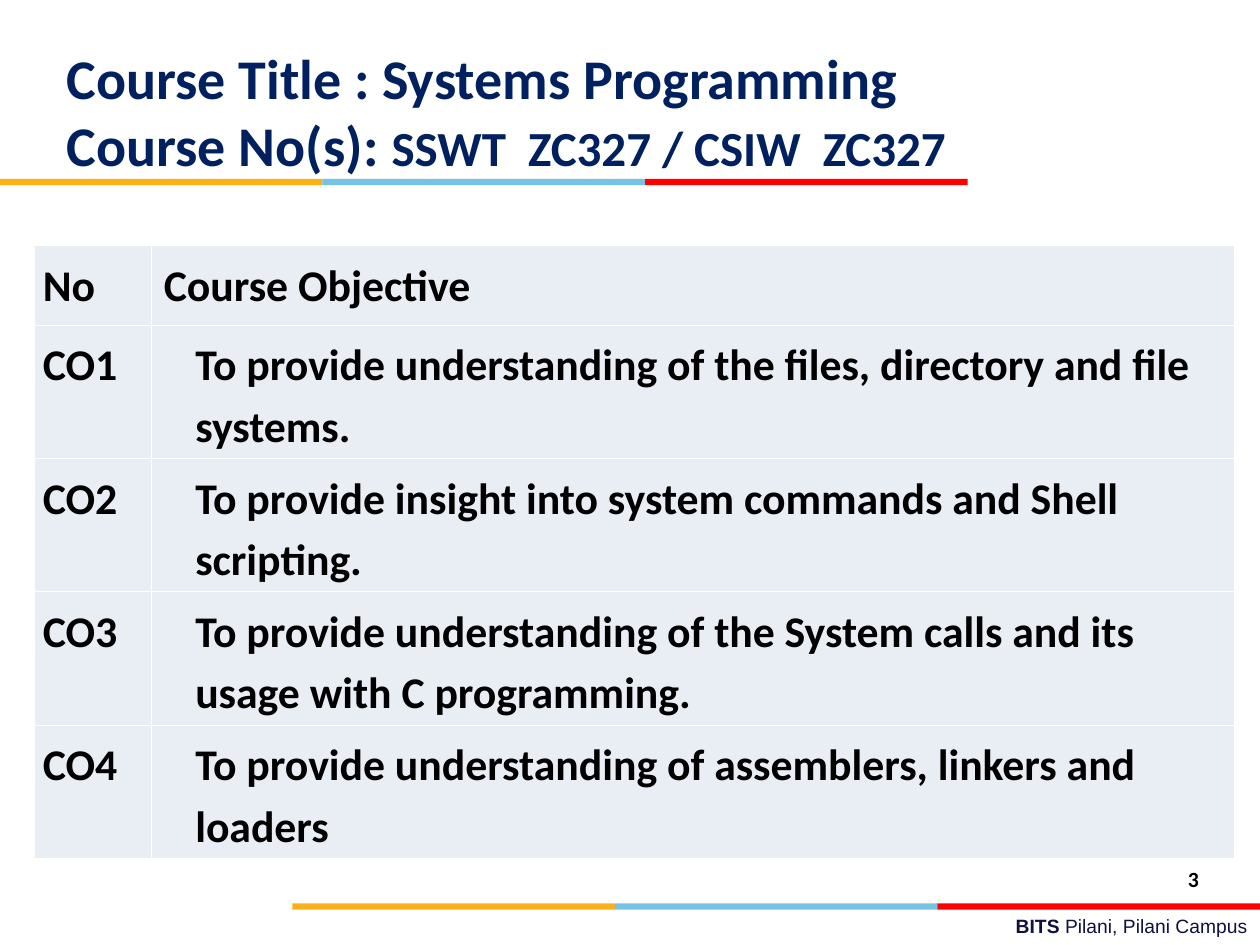
import pptx
import pptx.util
import pptx.dml.color
import pptx.enum.shapes
import pptx.enum.text
import pptx.oxml
import pptx.oxml.ns

Inches, Pt = pptx.util.Inches, pptx.util.Pt
RGBColor = pptx.dml.color.RGBColor
Align, Anchor = pptx.enum.text.PP_ALIGN, pptx.enum.text.MSO_ANCHOR

NAVY = RGBColor(0x00, 0x20, 0x60)
INK = RGBColor(0x10, 0x11, 0x41)
BLACK = RGBColor(0, 0, 0)
CELL_FILL = RGBColor(0xE9, 0xED, 0xF4)
STRIPE_COLORS = [RGBColor(0xFC, 0xB0, 0x17), RGBColor(0x76, 0xC2, 0xE5), RGBColor(0xFF, 0, 0)]

TITLE_FIRST = "Course Title : Systems Programming"
TITLE_SECOND = [("Course No(s): ", 32), ("SSWT  ZC327 / CSIW  ZC327", 28)]
HEADER = ("No", "Course Objective")
OBJECTIVES = [
    "To provide understanding of the files, directory and file systems.",
    "To provide insight into system commands and Shell scripting.",
    "To provide understanding of the System calls and its usage with C programming.",
    "To provide understanding of assemblers, linkers and loaders",
]
STRIPE_WIDTH, STRIPE_HEIGHT = 2.56, 0.05
COLUMN_WIDTHS = (0.93, 8.6)
HEADER_HEIGHT, ROW_HEIGHT = 0.63, 0.98


def add_stripes(slide, left, top):
    for index, color in enumerate(STRIPE_COLORS):
        stripe = slide.shapes.add_shape(
            pptx.enum.shapes.MSO_SHAPE.RECTANGLE, Inches(left + index * STRIPE_WIDTH),
            Inches(top), Inches(STRIPE_WIDTH), Inches(STRIPE_HEIGHT))
        stripe.shadow.inherit = False
        stripe.fill.solid()
        stripe.fill.fore_color.rgb = color
        stripe.line.fill.background()


def add_text_frame(slide, left, top, width, height):
    box = slide.shapes.add_textbox(Inches(left), Inches(top), Inches(width), Inches(height))
    box.text_frame.word_wrap = True
    return box.text_frame


def set_font(font, name, size, color, bold=None):
    font.name, font.size, font.bold = name, Pt(size), bold
    font.color.rgb = color


def add_borders(cell):
    """Put thin white lines ahead of the fill, as the schema orders them."""
    properties = cell._tc.get_or_add_tcPr()
    for position, side in enumerate(("lnL", "lnR", "lnT", "lnB")):
        properties.insert(position, pptx.oxml.parse_xml(
            f'<a:{side} {pptx.oxml.ns.nsdecls("a")} w="{Pt(0.45)}"><a:solidFill>'
            f'<a:srgbClr val="FFFFFF"/></a:solidFill></a:{side}>'))


def add_title(slide):
    frame = add_text_frame(slide, 0.43, 0.3, 8.35, 1.01)
    frame.vertical_anchor = Anchor.MIDDLE
    frame.margin_top, frame.margin_bottom = Inches(0.14), 0
    paragraph = frame.paragraphs[0]
    set_font(paragraph.font, "Calibri", 32, NAVY, True)
    paragraph.add_run().text = TITLE_FIRST
    paragraph.add_line_break()
    for text, size in TITLE_SECOND:
        run = paragraph.add_run()
        run.text = text
        run.font.size = Pt(size)


def add_objectives(slide):
    rows = [HEADER] + [(f"CO{number}", text) for number, text in enumerate(OBJECTIVES, 1)]
    height = HEADER_HEIGHT + ROW_HEIGHT * len(OBJECTIVES)
    table = slide.shapes.add_table(
        len(rows), len(HEADER), Inches(0.27), Inches(1.95),
        Inches(sum(COLUMN_WIDTHS)), Inches(height)).table
    table.first_row = table.horz_banding = False
    for column, width in zip(table.columns, COLUMN_WIDTHS):
        column.width = Inches(width)
    for row_index, row in enumerate(rows):
        table.rows[row_index].height = Inches(ROW_HEIGHT if row_index else HEADER_HEIGHT)
        for column_index, text in enumerate(row):
            cell = table.cell(row_index, column_index)
            cell.fill.solid()
            cell.fill.fore_color.rgb = CELL_FILL
            add_borders(cell)
            cell.text = text
            paragraph = cell.text_frame.paragraphs[0]
            paragraph.line_spacing = 1.15
            set_font(paragraph.font, "Calibri", 25, BLACK, True)
            if column_index == 0:
                cell.margin_left = cell.margin_right = Inches(0.07)
            elif row_index:
                paragraph._p.get_or_add_pPr().set("marL", str(Inches(0.25)))


def add_footer(slide):
    paragraph = add_text_frame(slide, 3.58, 7.21, 6.42, 0.29).paragraphs[0]
    paragraph.alignment = Align.RIGHT
    set_font(paragraph.font, "Arial", 11, INK)
    for text, bold in (("BITS ", True), ("Pilani, Pilani Campus", False)):
        run = paragraph.add_run()
        run.text = text
        run.font.bold = bold

    number = add_text_frame(slide, 9.33, 6.82, 0.67, 0.32).paragraphs[0]
    number.text = "3"
    set_font(number.font, "Calibri", 12.4, BLACK, True)


def main():
    presentation = pptx.Presentation()
    presentation.slide_width, presentation.slide_height = Inches(10), Inches(7.5)
    slide = presentation.slides.add_slide(presentation.slide_layouts[6])
    add_stripes(slide, 10 - STRIPE_WIDTH * len(STRIPE_COLORS), 7.17)
    add_stripes(slide, 0, 1.42)
    add_title(slide)
    add_objectives(slide)
    add_footer(slide)
    presentation.save("out.pptx")


if __name__ == "__main__":
    main()
